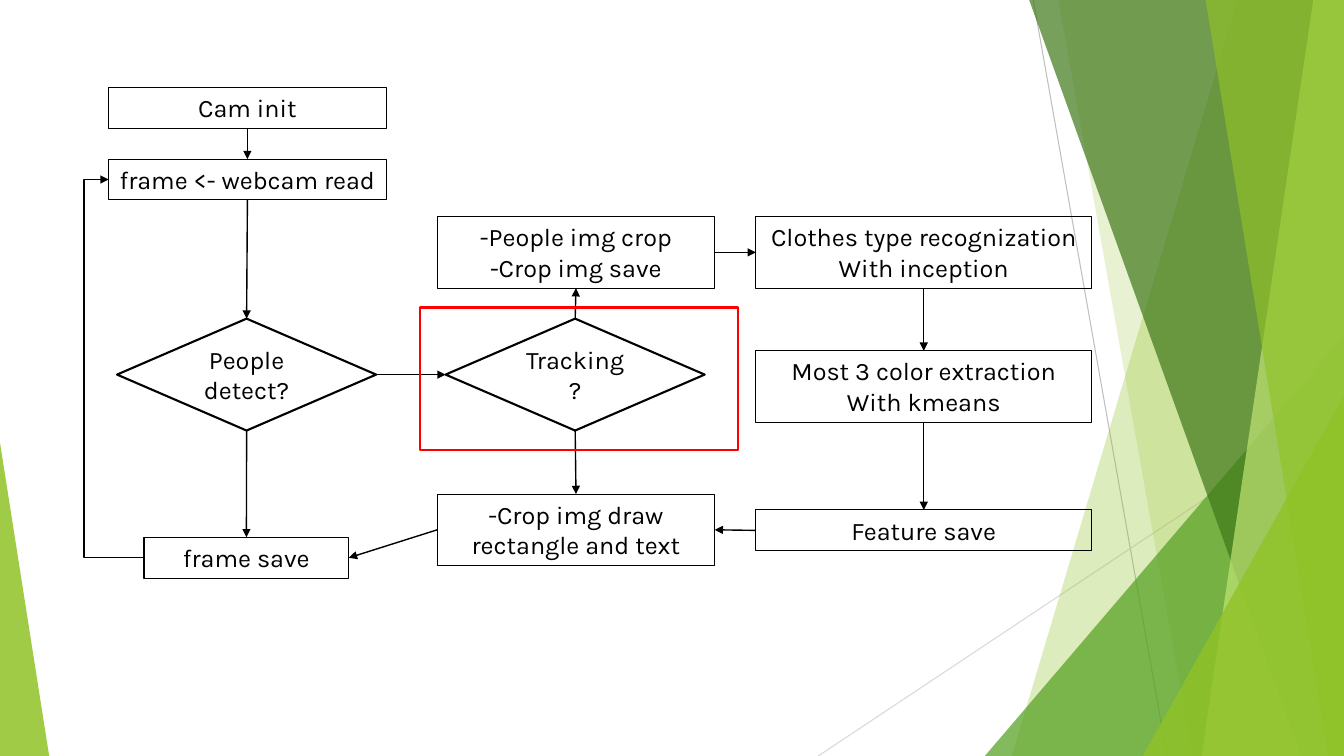
from dataclasses import dataclass

from lxml.etree import SubElement
from pptx import Presentation
from pptx.dml.color import RGBColor
from pptx.enum.shapes import MSO_CONNECTOR as Connector, MSO_SHAPE as Shape
from pptx.enum.text import MSO_ANCHOR as Anchor, MSO_AUTO_SIZE as AutoSize, PP_ALIGN as Align
from pptx.oxml.ns import qn
from pptx.util import Cm, Pt


@dataclass(frozen=True)
class Theme:
    font: str = "Karla"
    text_size: float = 18
    ink: str = "000000"
    highlight: str = "FF0000"
    green: str = "90C226"
    mid_green: str = "54A021"
    dark_green: str = "3F7819"
    pale_green: str = "C0E474"
    gray: str = "BFBFBF"
    light_gray: str = "D9D9D9"
    hairline: float = 0.75
    arrow_line: float = 1
    bold_line: float = 1.5


THEME = Theme()
WIDTH, HEIGHT = 33.87, 19.05
BLEED = -0.02
ONE_LINE, TWO_LINES = 1.03, 1.8
TOP, LEFT, BOTTOM, RIGHT = range(4)


def set_line(line, color, width):
    line.color.rgb = RGBColor.from_string(color)
    line.width = Pt(width)


def tint(shape, color, opacity):
    """Fill a borderless shape with a see-through colour; opacity is in percent."""
    shape.shadow.inherit = False
    shape.line.fill.background()
    shape.fill.solid()
    shape.fill.fore_color.rgb = RGBColor.from_string(color)
    color_element = next(shape.element.iter(qn("a:srgbClr")))
    SubElement(color_element, qn("a:alpha"), val=str(opacity * 1000))


def add_slanted_band(slide, top_x, bottom_x, color, opacity):
    """Fill from a slanted left edge to the right side of the slide."""
    builder = slide.shapes.build_freeform(Cm(top_x), Cm(BLEED))
    corners = [(WIDTH, BLEED), (WIDTH, HEIGHT), (bottom_x, HEIGHT)]
    builder.add_line_segments([(Cm(x), Cm(y)) for x, y in corners], close=True)
    tint(builder.convert_to_shape(), color, opacity)


def add_corner_triangle(slide, left, top, width, apex, color, opacity):
    triangle = slide.shapes.add_shape(
        Shape.ISOSCELES_TRIANGLE, Cm(left), Cm(top), Cm(width), Cm(HEIGHT - top))
    triangle.adjustments[0] = apex
    tint(triangle, color, opacity)


def add_line(slide, start, end, color, width, kind=Connector.STRAIGHT):
    connector = slide.shapes.add_connector(kind, *(Cm(value) for value in (*start, *end)))
    set_line(connector.line, color, width)
    SubElement(connector.element.spPr, qn("a:effectLst"))
    return connector


def add_arrow(slide, source, source_side, target, target_side, bend=None):
    """Join two shapes; bend places the middle leg, as a share of the connector's width."""
    kind = Connector.STRAIGHT if bend is None else Connector.ELBOW
    arrow = add_line(slide, (0, 0), (0, 0), THEME.ink, THEME.arrow_line, kind)
    arrow.begin_connect(source, source_side)
    arrow.end_connect(target, target_side)
    SubElement(arrow.line._get_or_add_ln(), qn("a:tailEnd"), type="triangle")
    if bend is not None:
        guides = next(arrow.element.iter(qn("a:avLst")))
        SubElement(guides, qn("a:gd"), name="adj1", fmla=f"val {round(bend * 100000)}")


def write_text(shape, text, *, size=THEME.text_size, color=THEME.ink, font=THEME.font,
               align=Align.CENTER, anchor=Anchor.TOP, auto_size=AutoSize.NONE):
    frame = shape.text_frame
    frame.text = text
    frame.word_wrap = True
    frame.vertical_anchor = anchor
    frame.auto_size = auto_size
    for paragraph in frame.paragraphs:
        paragraph.alignment = align
        for run in paragraph.runs:
            run.font.name = font
            run.font.size = Pt(size)
            run.font.color.rgb = RGBColor.from_string(color)


def add_outline(slide, kind, left, top, width, height, color, line_width):
    shape = slide.shapes.add_shape(kind, Cm(left), Cm(top), Cm(width), Cm(height))
    shape.shadow.inherit = False
    shape.fill.background()
    set_line(shape.line, color, line_width)
    return shape


def add_step(slide, text, left, top, width, height=ONE_LINE):
    step = add_outline(slide, Shape.RECTANGLE, left, top, width, height,
                       THEME.ink, THEME.hairline)
    write_text(step, text, auto_size=AutoSize.SHAPE_TO_FIT_TEXT)
    return step


def add_decision(slide, text, left, top):
    decision = add_outline(slide, Shape.DIAMOND, left, top, 6.53, 2.82,
                           THEME.ink, THEME.bold_line)
    write_text(decision, text, anchor=Anchor.MIDDLE)
    return decision


def add_backdrop(slide):
    add_line(slide, (26.04, 0), (29.41, HEIGHT), THEME.gray, THEME.hairline)
    add_line(slide, (WIDTH, 10.24), (20.62, HEIGHT), THEME.light_gray, THEME.hairline)
    add_slanted_band(slide, 31.19, 25.5, THEME.green, 30)
    add_slanted_band(slide, 26.67, 30.05, THEME.green, 20)
    add_corner_triangle(slide, 24.82, 8.46, 9.05, 1, THEME.mid_green, 72)
    add_slanted_band(slide, 25.93, 32.79, THEME.dark_green, 70)
    add_slanted_band(slide, 33.1, 30.28, THEME.pale_green, 70)
    add_slanted_band(slide, 30.38, 33.48, THEME.green, 65)
    add_corner_triangle(slide, 28.8, 9.98, 5.07, 1, THEME.green, 80)
    add_corner_triangle(slide, 0, 11.15, 1.24, 0, THEME.green, 85)


def add_flowchart(slide):
    first, second, third = 2.74, 11.02, 19.05
    narrow, wide = 6.99, 8.46
    decision_top, crop_top = 8.03, 5.46

    cam_init = add_step(slide, "Cam init", first, 2.21, narrow)
    read = add_step(slide, "frame <- webcam read", first, 4.01, narrow)
    detect = add_decision(slide, "People detect?", 2.95, decision_top)
    save = add_step(slide, "frame save", 3.63, 13.54, 5.16)

    crop = add_step(slide, "-People img crop\n-Crop img save",
                    second, crop_top, narrow, TWO_LINES)
    tracking = add_decision(slide, "Tracking?", 11.23, decision_top)
    draw = add_step(slide, "-Crop img draw rectangle and text",
                    second, 12.45, narrow, TWO_LINES)

    clothes = add_step(slide, "Clothes type recognization\nWith inception",
                       third, crop_top, wide, TWO_LINES)
    colors = add_step(slide, "Most 3 color extraction\nWith kmeans",
                      third, 8.84, wide, TWO_LINES)
    feature = add_step(slide, "Feature save", third, 12.85, wide)

    for source, source_side, target, target_side in [
        (cam_init, BOTTOM, read, TOP),
        (read, BOTTOM, detect, TOP),
        (detect, BOTTOM, save, TOP),
        (detect, RIGHT, tracking, LEFT),
        (tracking, TOP, crop, BOTTOM),
        (tracking, BOTTOM, draw, TOP),
        (crop, RIGHT, clothes, LEFT),
        (clothes, BOTTOM, colors, TOP),
        (colors, BOTTOM, feature, TOP),
        (feature, LEFT, draw, RIGHT),
        (draw, LEFT, save, RIGHT),
    ]:
        add_arrow(slide, source, source_side, target, target_side)
    add_arrow(slide, save, LEFT, read, LEFT, bend=1.7)

    add_outline(slide, Shape.RECTANGLE, 10.59, 7.75, 8, 3.58,
                THEME.highlight, THEME.bold_line)


def main():
    presentation = Presentation()
    presentation.slide_width, presentation.slide_height = Cm(WIDTH), Cm(HEIGHT)
    slide = presentation.slides.add_slide(presentation.slide_layouts[6])
    add_backdrop(slide)
    add_flowchart(slide)
    presentation.save("out.pptx")


if __name__ == "__main__":
    main()
